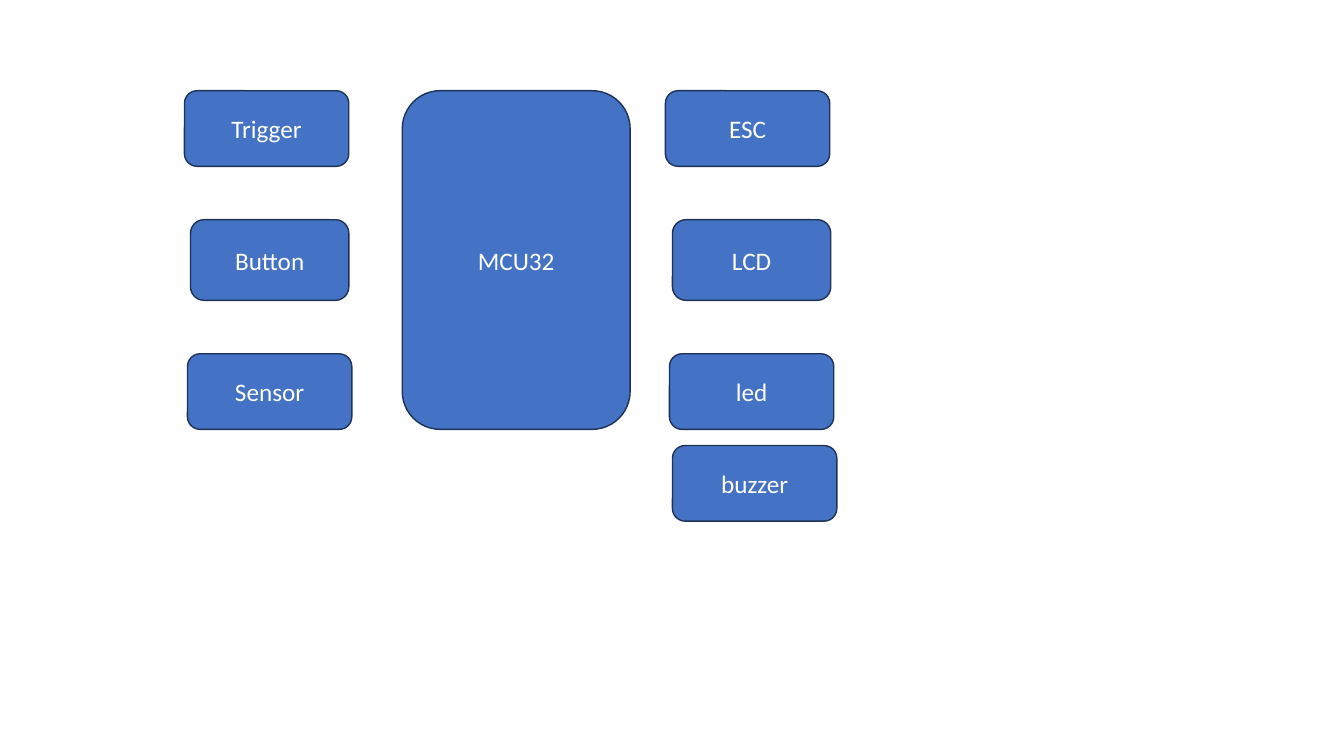
from pptx import Presentation
from pptx.dml.color import RGBColor
from pptx.enum.shapes import MSO_SHAPE
from pptx.enum.text import MSO_ANCHOR, PP_ALIGN
from pptx.util import Inches, Pt

FILL, EDGE, INK = "4472C4", "1E3256", "FFFFFF"
WIDE = (1.63, 0.75)
TALL = (1.57, 0.8)
CHIP = (2.26, 3.36)
ROWS = (0.9, 2.18, 3.51, 4.42)

INPUTS = [("Trigger", 1.83, WIDE), ("Button", 1.89, TALL), ("Sensor", 1.86, WIDE)]
OUTPUTS = [("ESC", 6.6, WIDE), ("LCD", 6.67, TALL),
           ("led", 6.64, WIDE), ("buzzer", 6.67, WIDE)]


def color(code):
    return RGBColor.from_string(code)


def add_block(slide, label, left, top, size):
    width, height = size
    block = slide.shapes.add_shape(
        MSO_SHAPE.ROUNDED_RECTANGLE,
        Inches(left), Inches(top), Inches(width), Inches(height))
    block.shadow.inherit = False
    block.fill.solid()
    block.fill.fore_color.rgb = color(FILL)
    block.line.color.rgb = color(EDGE)
    block.line.width = Pt(1)

    frame = block.text_frame
    frame.text = label
    frame.word_wrap = True
    frame.vertical_anchor = MSO_ANCHOR.MIDDLE
    para = frame.paragraphs[0]
    para.alignment = PP_ALIGN.CENTER
    font = para.runs[0].font
    font.name = "Calibri"
    font.size = Pt(18)
    font.color.rgb = color(INK)


def add_column(slide, parts):
    for (label, left, size), top in zip(parts, ROWS):
        add_block(slide, label, left, top, size)


def main():
    deck = Presentation()
    deck.slide_width, deck.slide_height = Inches(13.33), Inches(7.5)
    slide = deck.slides.add_slide(deck.slide_layouts[6])
    add_column(slide, INPUTS)
    add_block(slide, "MCU32", 3.99, ROWS[0], CHIP)
    add_column(slide, OUTPUTS)
    deck.save("out.pptx")


if __name__ == "__main__":
    main()
